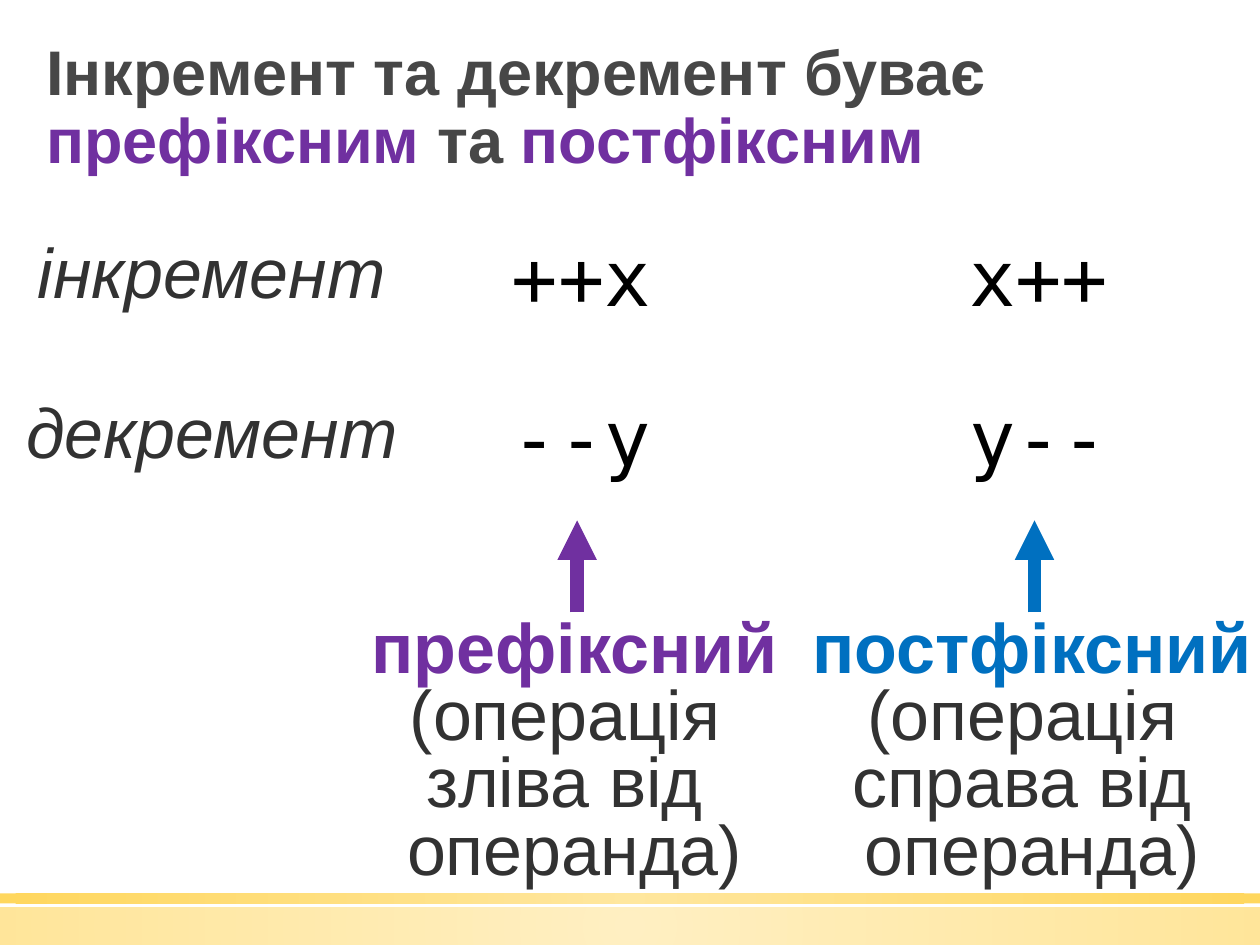
from dataclasses import dataclass

from lxml import etree
from pptx import Presentation
from pptx.dml.color import RGBColor
from pptx.enum.shapes import MSO_CONNECTOR, MSO_SHAPE
from pptx.enum.text import MSO_ANCHOR, MSO_AUTO_SIZE, PP_ALIGN
from pptx.oxml import parse_xml
from pptx.oxml.ns import qn
from pptx.util import Inches, Pt

LINE, RECT = MSO_CONNECTOR.STRAIGHT, MSO_SHAPE.RECTANGLE
MIDDLE, CENTER, LEFT = MSO_ANCHOR.MIDDLE, PP_ALIGN.CENTER, PP_ALIGN.LEFT
FIT, FIXED = MSO_AUTO_SIZE.SHAPE_TO_FIT_TEXT, MSO_AUTO_SIZE.NONE
NS = "http://schemas.openxmlformats.org/drawingml/2006/main"


@dataclass(frozen=True)
class Theme:
    """Colours, fonts and type sizes."""
    purple: str = "7030A0"
    blue: str = "0070C0"
    title: str = "474747"
    body: str = "323232"
    code: str = "000000"
    white: str = "FFFFFF"
    pale: str = "FFE186"
    gold: str = "FFCD36"
    sans: str = "Arial"
    mono: str = "DejaVu Sans Mono"
    head_size: int = 36
    text_size: int = 40
    code_size: int = 44


T = Theme()
WIDE, HIGH = 10, 7.5
ROWS = (1.77, 3.04)
ROW_H = 0.84


def rgb(tone):
    """Turn a hex string into a colour."""
    return RGBColor.from_string(tone)


def block(slide, box):
    """Add a plain rectangle without line or shadow."""
    shape = slide.shapes.add_shape(RECT, *map(Inches, box))
    shape.shadow.inherit = False
    shape.line.fill.background()
    return shape


def write(para, lines, size, font, align, space=None):
    """Fill a paragraph with lines of (text, colour, bold) runs."""
    para.alignment, para.line_spacing = align, space
    para.font.size, para.font.name = Pt(size), font
    for num, line in enumerate(lines):
        if num:
            para.add_line_break()
        for text, tone, bold in line:
            run = para.add_run()
            run.text = text
            run.font.bold = bold
            run.font.color.rgb = rgb(tone)


def label(slide, mid, top, size, lines, slant=False):
    """Add centred text around a middle line."""
    wide, high = size
    area = slide.shapes.add_textbox(
        *map(Inches, (mid - wide / 2, top, wide, high)))
    frame = area.text_frame
    frame.word_wrap, frame.auto_size = False, FIT
    para = frame.paragraphs[0]
    write(para, lines, T.text_size, T.sans, CENTER, 0.8)
    para.font.italic = slant


def cell(slide, box, text):
    """Add a white cell with one code sample."""
    shape = block(slide, box)
    shape.fill.solid()
    shape.fill.fore_color.rgb = rgb(T.white)
    frame = shape.text_frame
    frame.auto_size, frame.vertical_anchor = FIT, MIDDLE
    para = frame.paragraphs[0]
    para.space_before = para.space_after = Pt(18)
    write(para, [[(text, T.code, False)]], T.code_size, T.mono, CENTER)


def arrow(slide, mid, low, top, tone):
    """Add a thick arrow that points up."""
    line = slide.shapes.add_connector(
        LINE, *map(Inches, (mid, low, mid, top)))
    line.line.color.rgb = rgb(tone)
    line.line.width = Pt(7.5)
    etree.SubElement(line.line._get_or_add_ln(), qn("a:tailEnd"),
                     type="triangle")
    etree.SubElement(line._element.spPr, qn("a:effectLst"))


def column(slide, mid, wide, tone, codes, name, notes):
    """Add one form: its samples, arrow and caption around a middle line."""
    for top, code in zip(ROWS, codes):
        cell(slide, (mid - 1.1, top, 2.27, ROW_H), code)
    arrow(slide, mid, 4.86, 4.13, tone)
    lines = [[(name, tone, True)]]
    lines += [[(note, T.body, False)] for note in notes]
    label(slide, mid - 0.02, 4.87, (wide, 2.25), lines)


def title(slide, box):
    """Add the two-line heading."""
    frame = slide.shapes.add_textbox(*map(Inches, box)).text_frame
    frame.word_wrap, frame.auto_size = True, FIXED
    frame.vertical_anchor = MIDDLE
    para = frame.paragraphs[0]
    write(para, [
        [("Інкремент та декремент буває", T.title, True)],
        [("префіксним", T.purple, True), (" та ", T.title, True),
         ("постфіксним", T.purple, True)],
    ], T.head_size, T.sans, LEFT, 0.9)
    para._p.get_or_add_pPr().set("marL", str(Inches(0.05)))


def band(slide, top, high, alpha):
    """Add a full-width bar that glows from its centre."""
    shape = block(slide, (0, top, WIDE, high))
    stops = "".join(
        f'<a:gs pos="{pos}000"><a:srgbClr val="{tone}">'
        f'<a:alpha val="{alpha}000"/></a:srgbClr></a:gs>'
        for pos, tone in ((0, T.pale), (100, T.gold)))
    fill = parse_xml(
        f'<a:gradFill xmlns:a="{NS}"><a:gsLst>{stops}</a:gsLst>'
        '<a:path path="circle"><a:fillToRect l="50000" t="50000" '
        'r="50000" b="50000"/></a:path></a:gradFill>')
    shape._element.spPr.find(qn("a:prstGeom")).addnext(fill)


def build():
    """Build and save the slide."""
    deck = Presentation()
    deck.slide_width, deck.slide_height = Inches(WIDE), Inches(HIGH)
    slide = deck.slides.add_slide(deck.slide_layouts[6])
    band(slide, 7.2, 0.3, 50)
    band(slide, 7.09, 0.08, 80)
    title(slide, (0.22, 0.23, 9.61, 1.27))
    column(slide, 4.58, 3.48, T.purple, ("++x", "--y"), "префіксний",
           ("(операція ", "зліва від ", "операнда)"))
    column(slide, 8.21, 3.72, T.blue, ("x++", "y--"), "постфіксний",
           ("(операція ", "справа від ", "операнда)"))
    names = (("інкремент", 2.99), ("декремент", 3.18))
    for top, (name, wide) in zip(ROWS, names):
        label(slide, 1.68, top + 0.12, (wide, 0.64),
              [[(name, T.body, False)]], True)
    deck.save("out.pptx")


build()
